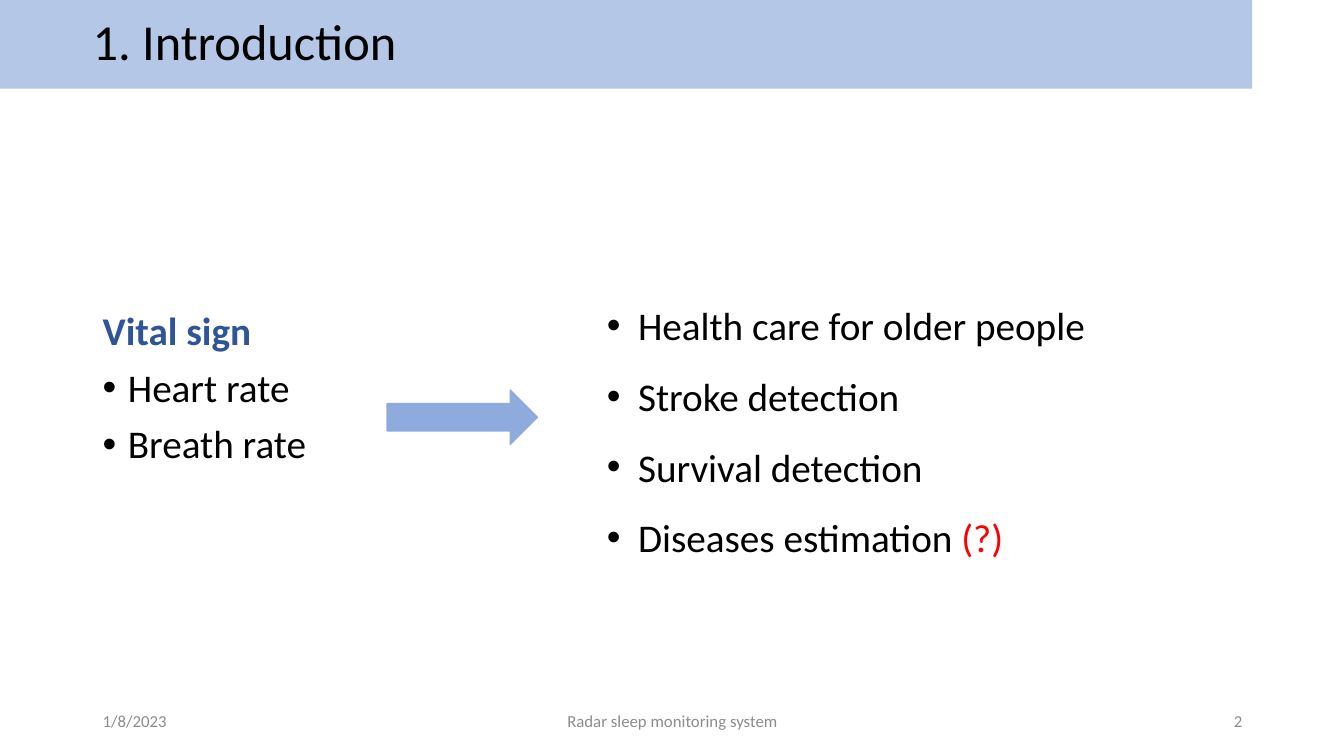
from dataclasses import dataclass

from lxml import etree
from pptx import Presentation
from pptx.dml.color import RGBColor
from pptx.enum.shapes import MSO_SHAPE
from pptx.enum.text import MSO_ANCHOR, PP_ALIGN
from pptx.oxml.ns import qn
from pptx.util import Inches, Pt

RECTANGLE, RIGHT_ARROW = MSO_SHAPE.RECTANGLE, MSO_SHAPE.RIGHT_ARROW
TOP, MIDDLE = MSO_ANCHOR.TOP, MSO_ANCHOR.MIDDLE
LEFT, CENTER, RIGHT = PP_ALIGN.LEFT, PP_ALIGN.CENTER, PP_ALIGN.RIGHT

BLACK = RGBColor(0x00, 0x00, 0x00)
RED = RGBColor(0xFF, 0x00, 0x00)
GRAY = RGBColor(0x8C, 0x8C, 0x8C)
DARK_BLUE = RGBColor(0x2F, 0x55, 0x97)
ARROW_BLUE = RGBColor(0x8F, 0xAA, 0xDC)
BAND_BLUE = RGBColor(0xB4, 0xC7, 0xE7)
FONT = "Calibri"


@dataclass(frozen=True)
class Span:
    text: str
    color: RGBColor = BLACK
    bold: bool = False


@dataclass(frozen=True)
class Line:
    spans: tuple[Span, ...]
    size: int = 28
    spacing: float = 1.0
    before: int = 0
    align: PP_ALIGN = LEFT
    margin: float = 0
    bullet: bool = False


@dataclass(frozen=True)
class Block:
    area: tuple[float, float, float, float]
    lines: tuple[Line, ...]
    anchor: MSO_ANCHOR = MIDDLE


def set_indent(para, line: Line) -> None:
    """Set the left margin and, for a list item, the hanging bullet."""
    properties = para._p.get_or_add_pPr()
    properties.set("marL", str(Inches(line.margin)))
    if line.bullet:
        properties.set("indent", str(-Inches(line.margin)))
        font = etree.SubElement(properties, qn("a:buFont"))
        font.set("typeface", "Arial")
        etree.SubElement(properties, qn("a:buChar")).set("char", "•")


def write_lines(frame, lines: tuple[Line, ...], anchor: MSO_ANCHOR) -> None:
    frame.word_wrap = True
    frame.vertical_anchor = anchor
    for index, line in enumerate(lines):
        para = frame.paragraphs[0] if index == 0 else frame.add_paragraph()
        layout = {"alignment": line.align, "line_spacing": line.spacing,
                  "space_before": Pt(line.before)}
        for name, value in layout.items():
            setattr(para, name, value)
        set_indent(para, line)
        for span in line.spans:
            run = para.add_run()
            run.text = span.text
            run.font.color.rgb = span.color
            style = {"name": FONT, "size": Pt(line.size), "bold": span.bold}
            for name, value in style.items():
                setattr(run.font, name, value)


def add_block(page, block: Block) -> None:
    box = page.shapes.add_textbox(*map(Inches, block.area))
    write_lines(box.text_frame, block.lines, block.anchor)


def add_solid(page, kind: MSO_SHAPE, area: tuple[float, ...], color: RGBColor):
    shape = page.shapes.add_shape(kind, *map(Inches, area))
    shape.shadow.inherit = False
    shape.fill.solid()
    shape.fill.fore_color.rgb = color
    shape.line.fill.background()
    return shape


def vital_line(text: str) -> Line:
    return Line((Span(text),), spacing=0.9, before=10, margin=0.25, bullet=True)


def use_line(*spans: Span) -> Line:
    return Line(spans, spacing=1.5, margin=0.31, bullet=True)


def footer(left: float, width: float, text: str, align: PP_ALIGN) -> Block:
    return Block((left, 6.95, width, 0.4),
                 (Line((Span(text, GRAY),), size=12, align=align),))


TITLE = Line((Span("1. Introduction"),), size=36, spacing=0.9, margin=0.82)

BLOCKS = (
    # Vital signs on the left
    Block((0.92, 0.98, 11.5, 5.77), (
        Line((Span("Vital sign", DARK_BLUE, True),), spacing=0.9, before=10),
        vital_line("Heart rate"),
        vital_line("Breath rate"),
    )),
    # Uses on the right
    Block((5.92, 2.71, 5, 2.86), (
        use_line(Span("Health care for older people")),
        use_line(Span("Stroke detection")),
        use_line(Span("Survival detection")),
        use_line(Span("Diseases estimation "), Span("(?)", RED)),
    ), TOP),
    # Footer
    footer(0.92, 3, "1/8/2023", LEFT),
    footer(4.42, 4.5, "Radar sleep monitoring system", CENTER),
    footer(9.42, 3, "2", RIGHT),
)


def main() -> None:
    deck = Presentation()
    deck.slide_width, deck.slide_height = Inches(13.33), Inches(7.5)
    page = deck.slides.add_slide(deck.slide_layouts[6])

    # Title band
    band = add_solid(page, RECTANGLE, (0, 0, 12.42, 0.88), BAND_BLUE)
    write_lines(band.text_frame, (TITLE,), MIDDLE)

    # Arrow from vital signs to their uses
    arrow = add_solid(page, RIGHT_ARROW, (3.84, 3.87, 1.49, 0.54), ARROW_BLUE)
    arrow.line.color.rgb = ARROW_BLUE
    arrow.line.width = Pt(1)

    for block in BLOCKS:
        add_block(page, block)
    deck.save("out.pptx")


if __name__ == "__main__":
    main()
